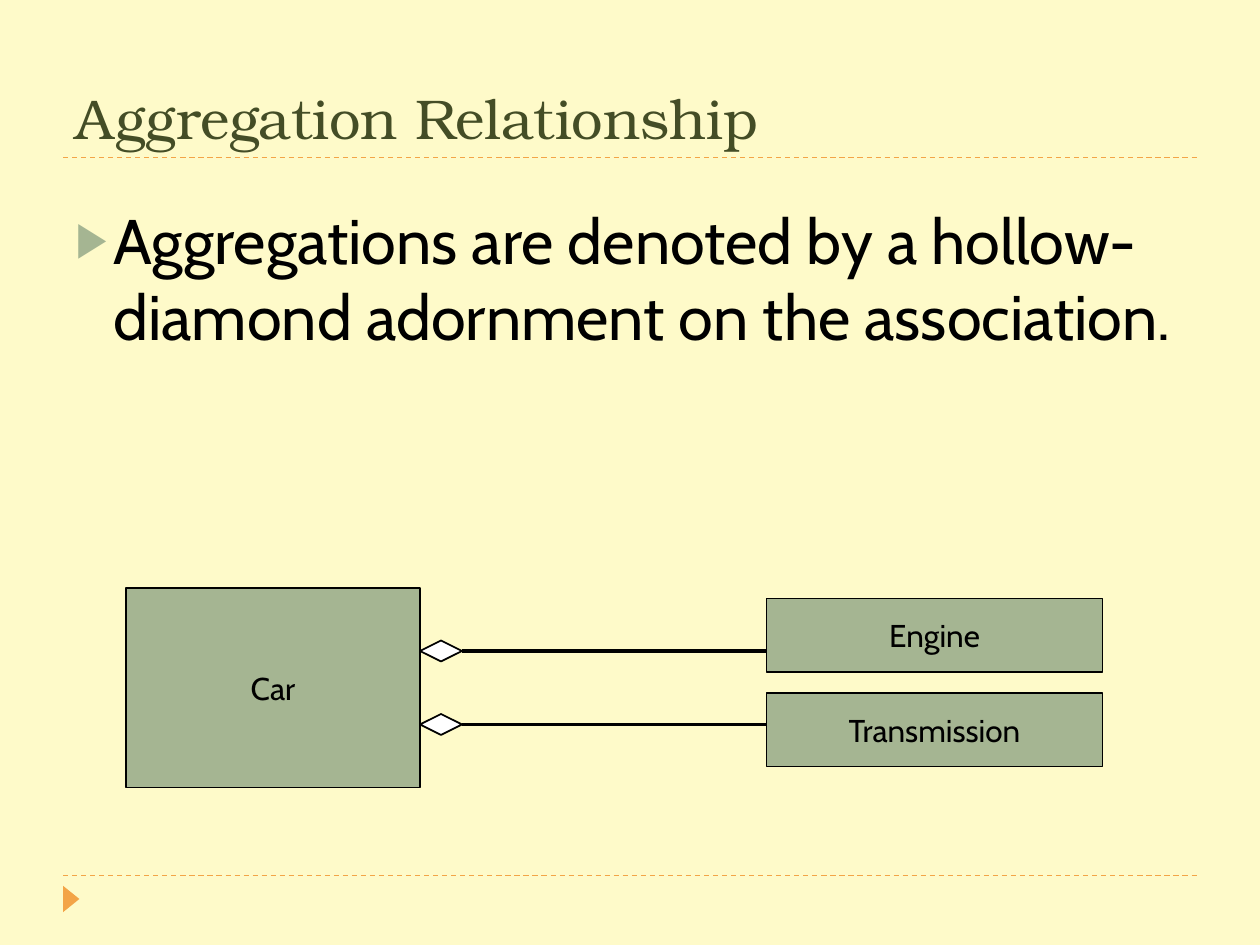
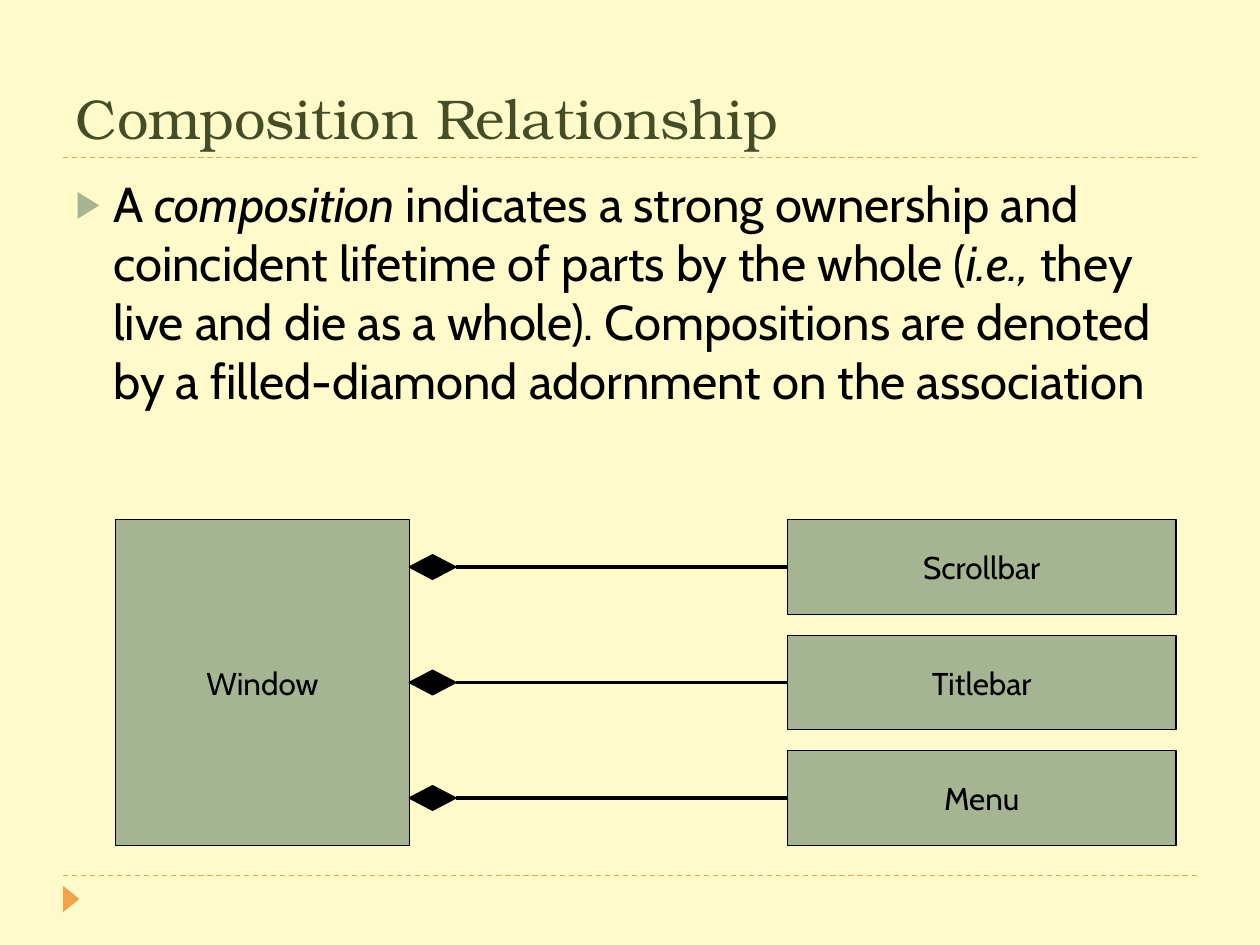
import pptx
import pptx.util
import pptx.dml.color
import pptx.enum.dml
import pptx.enum.shapes
import pptx.enum.text
import pptx.oxml
import pptx.oxml.ns

# Content: body runs are (text, italic)
SLIDES = [
    dict(
        title="Aggregation Relationship",
        body=[("Aggregations are denoted by a hollow-diamond adornment on the association.", False)],
        body_size=36, body_top=1.55, body_height=4.95,
        # Diagram lengths are in grid cells of 1/12 inch
        whole="Car", whole_box=(12, 56, 28, 19),
        parts=["Engine", "Transmission"], part_box=(73, 57, 32, 7),
        link_rows=[62, 69], diamond=(4, 2), diamond_fill="white",
    ),
    dict(
        title="Composition Relationship",
        body=[("A ", False), ("composition ", True),
              ("indicates a strong ownership and coincident lifetime of parts by the whole (", False),
              ("i.e.,", True),
              (" they live and die as a whole). Compositions are denoted by a "
               "filled-diamond adornment on the association", False)],
        body_size=28, body_top=1.33, body_height=5.4,
        whole="Window", whole_box=(11, 49.5, 28, 31),
        parts=["Scrollbar", "Titlebar", "Menu"], part_box=(75, 49.5, 37, 9),
        link_rows=[54, 65, 76], diamond=(4.4, 2.3), diamond_fill="black",
    ),
]

# Shared look
COLORS = dict(paper="FEFAC9", title="444D26", accent="F3A447",
              sage="A5B592", black="000000", white="FFFFFF")
TITLE_FONT, BODY_FONT = "TeX Gyre Bonum", "Cabin"
WIDTH, HEIGHT = 10, 7.5
MARGIN = 0.5
RULE_ROWS = (1.25, 6.95)
CELL = 1 / 12
PART_GAP = 2

inch = pptx.util.Inches
MSO_SHAPE = pptx.enum.shapes.MSO_SHAPE
PP_ALIGN = pptx.enum.text.PP_ALIGN
ANCHOR = pptx.enum.text.MSO_ANCHOR


def rgb(name):
    return pptx.dml.color.RGBColor.from_string(COLORS[name])


def cells(*lengths):
    return [inch(length * CELL) for length in lengths]


def style_font(font, face, size, color):
    font.name, font.size = face, pptx.util.Pt(size)
    font.color.rgb = rgb(color)


def paint(shape, fill, line_width=None):
    shape.shadow.inherit = False
    shape.fill.solid()
    shape.fill.fore_color.rgb = rgb(fill)
    if line_width is None:
        shape.line.fill.background()
    else:
        shape.line.color.rgb = rgb("black")
        shape.line.width = pptx.util.Pt(line_width)


def add_line(slide, start, end, color, width):
    line = slide.shapes.add_connector(
        pptx.enum.shapes.MSO_CONNECTOR.STRAIGHT, *start, *end)
    line.line.color.rgb = rgb(color)
    line.line.width = pptx.util.Pt(width)
    line._element.spPr.append(pptx.oxml.parse_xml(
        f"<a:effectLst {pptx.oxml.ns.nsdecls('a')}/>"))
    return line


def add_frame(slide):
    """Dashed rules and the corner marker."""
    for row in RULE_ROWS:
        rule = add_line(slide, (inch(MARGIN), inch(row)),
                        (inch(WIDTH - MARGIN), inch(row)), "accent", 0.75)
        rule.line.dash_style = pptx.enum.dml.MSO_LINE.DASH
    marker = slide.shapes.add_shape(MSO_SHAPE.ISOSCELES_TRIANGLE,
                                    inch(0.46), inch(7.07), inch(0.21), inch(0.13))
    marker.rotation = 90
    paint(marker, "accent")


def place(holder, top, height, anchor):
    holder.left, holder.top = inch(MARGIN), inch(top)
    holder.width, holder.height = inch(WIDTH - 2 * MARGIN), inch(height)
    frame = holder.text_frame
    frame.word_wrap = True
    frame.auto_size = pptx.enum.text.MSO_AUTO_SIZE.NONE
    frame.vertical_anchor = anchor
    return frame


def add_bullet(paragraph):
    props = paragraph._p.get_or_add_pPr()
    props.set("marL", str(inch(0.3)))
    props.set("indent", str(-inch(0.3)))
    for tag in (f'<a:buClr %s><a:srgbClr val="{COLORS["sage"]}"/></a:buClr>',
                '<a:buSzPct %s val="76000"/>', '<a:buChar %s char="▶"/>'):
        props.append(pptx.oxml.parse_xml(tag % pptx.oxml.ns.nsdecls("a")))


def add_text(slide, content):
    frame = place(slide.shapes.title, 0.17, 1.08, ANCHOR.BOTTOM)
    frame.text = content["title"]
    heading = frame.paragraphs[0]
    heading.alignment = PP_ALIGN.LEFT
    style_font(heading.runs[0].font, TITLE_FONT, 32, "title")

    frame = place(slide.placeholders[1], content["body_top"],
                  content["body_height"], ANCHOR.TOP)
    statement = frame.paragraphs[0]
    add_bullet(statement)
    statement.space_before = pptx.util.Pt(0)
    for words, italic in content["body"]:
        run = statement.add_run()
        run.text = words
        run.font.italic = italic
        style_font(run.font, BODY_FONT, content["body_size"], "black")


def add_class(slide, label, box):
    block = slide.shapes.add_shape(MSO_SHAPE.RECTANGLE, *cells(*box))
    paint(block, "sage", 0.75)
    frame = block.text_frame
    frame.word_wrap = False
    frame.vertical_anchor = ANCHOR.MIDDLE
    frame.text = label
    frame.paragraphs[0].alignment = PP_ALIGN.CENTER
    style_font(frame.paragraphs[0].runs[0].font, BODY_FONT, 18, "black")


def add_link(slide, left, right, row, diamond, fill):
    """A diamond at the whole's edge and a line on to the part."""
    wide, high = diamond
    add_line(slide, cells(left + wide, row), cells(right, row), "black", 2.25)
    outline = slide.shapes.build_freeform(*cells(left, row))
    outline.add_line_segments([cells(left + wide / 2, row - high / 2),
                               cells(left + wide, row),
                               cells(left + wide / 2, row + high / 2)], close=True)
    paint(outline.convert_to_shape(), fill, 1)


def add_diagram(slide, content):
    whole_left, _, whole_width, _ = content["whole_box"]
    left, top, width, height = content["part_box"]
    add_class(slide, content["whole"], content["whole_box"])
    for i, part in enumerate(content["parts"]):
        add_link(slide, whole_left + whole_width, left, content["link_rows"][i],
                 content["diamond"], content["diamond_fill"])
        add_class(slide, part, (left, top + i * (height + PART_GAP), width, height))


def main():
    deck = pptx.Presentation()
    deck.slide_width, deck.slide_height = inch(WIDTH), inch(HEIGHT)
    paper = deck.slide_master.background.fill
    paper.solid()
    paper.fore_color.rgb = rgb("paper")
    for content in SLIDES:
        slide = deck.slides.add_slide(deck.slide_layouts[1])
        add_frame(slide)
        add_text(slide, content)
        add_diagram(slide, content)
    deck.save("out.pptx")


if __name__ == "__main__":
    main()
